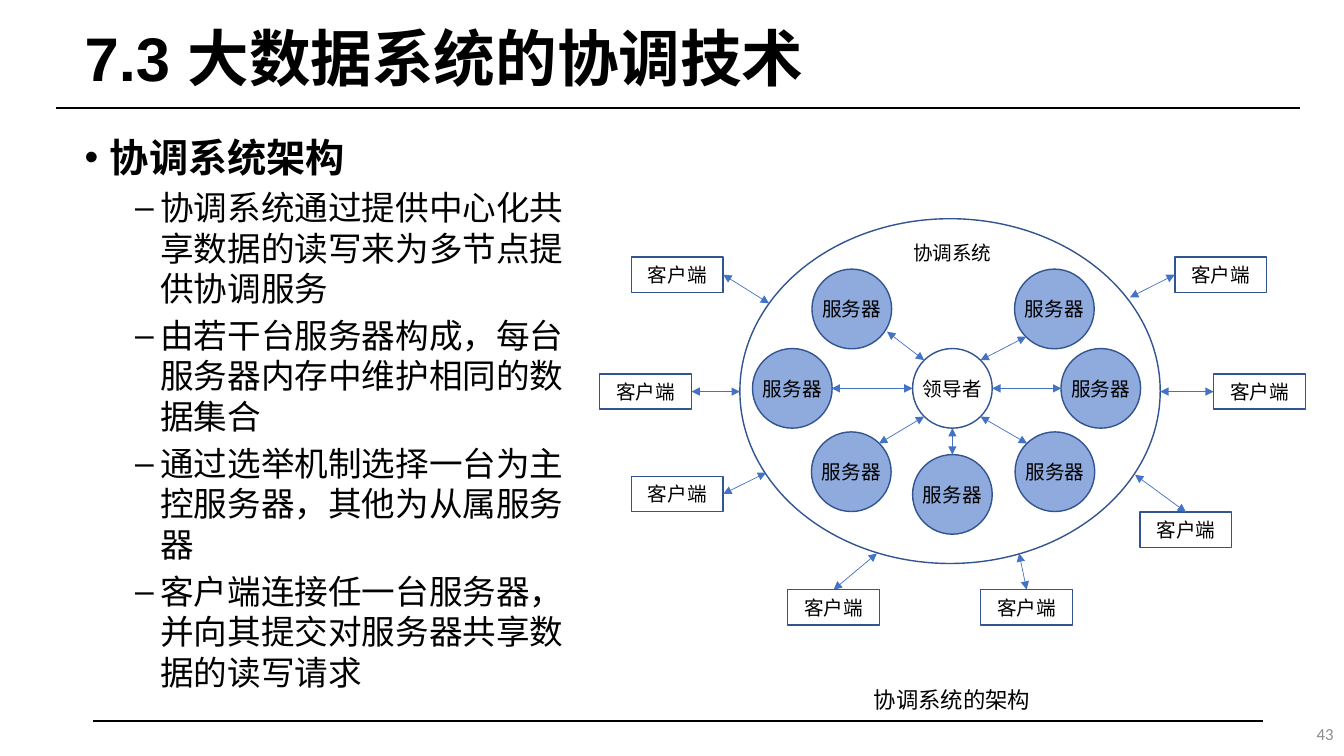
from dataclasses import dataclass
from math import sqrt

from lxml.etree import SubElement
from pptx import Presentation
from pptx.dml.color import RGBColor
from pptx.enum.shapes import MSO_CONNECTOR, MSO_SHAPE
from pptx.enum.text import MSO_ANCHOR, MSO_AUTO_SIZE, PP_ALIGN
from pptx.oxml.ns import qn
from pptx.util import Inches, Pt


@dataclass(frozen=True)
class Theme:
    ink: str = "000000"
    muted: str = "8C8C8C"
    outline: str = "325491"
    arrow: str = "4472C4"
    server: str = "8FAADC"
    leader: str = "FFFFFF"
    title_font: str = "Arial"
    body_font: str = "Calibri"
    chinese_font: str = "Noto Sans CJK SC"
    title_size: int = 44
    heading_size: int = 28
    point_size: int = 24
    caption_size: int = 16
    label_size: int = 14
    number_size: int = 12


# The grid has ten columns and ten rows to the inch.
COLUMNS, ROWS = 133.33, 75
HEADING = "协调系统架构"
POINTS = [
    "协调系统通过提供中心化共享数据的读写来为多节点提供协调服务",
    "由若干台服务器构成，每台服务器内存中维护相同的数据集合",
    "通过选举机制选择一台为主控服务器，其他为从属服务器",
    "客户端连接任一台服务器，并向其提交对服务器共享数据的读写请求",
]
TOP, LEFT, BOTTOM, RIGHT = range(4)
NODE = 7.9
LEADER = (94.48, 38.53)
# Server centre, direction in which its link leaves the leader, end of the link
SERVERS = [
    ((84.5, 30.65), (-1, -1), (88, 32.9)),
    ((78.6, 38.53), (-1, 0), (82.5, 38.53)),
    ((84.45, 46.8), (-1, 1), (87.2, 44)),
    ((94.48, 49.05), (0, 1), (94.48, 45.1)),
    ((104.65, 46.8), (1, 1), (101.9, 44)),
    ((109.2, 38.53), (1, 0), (105.3, 38.53)),
    ((104.6, 30.65), (1, -1), (101.8, 33.4)),
]
# Client corner, side its link leaves from, end of the link on the system
CLIENTS = [
    ((62.65, 25.5), RIGHT, (76.3, 30.1)),
    ((59.5, 37.1), RIGHT, (73.4, 38.85)),
    ((62.65, 47.25), RIGHT, (76, 46.9)),
    ((78.15, 58.5), TOP, (87, 54.9)),
    ((97.3, 58.5), TOP, (101.1, 54.9)),
    ((113.1, 50.8), TOP, (112.6, 47.1)),
    ((120.4, 37.1), LEFT, (115.1, 38.85)),
    ((116.55, 25.5), LEFT, (112.1, 29.5)),
]


def cells(*counts):
    return [Inches(count / 10) for count in counts]


class SlideBuilder:
    def __init__(self, slide, theme):
        self.slide = slide
        self.theme = theme

    def style(self, paragraph, size, font=None, color=None, bold=False):
        paragraph.font.size = Pt(size)
        paragraph.font.bold = bold
        paragraph.font.color.rgb = RGBColor.from_string(color or self.theme.ink)
        paragraph.font.name = font or self.theme.chinese_font
        properties = paragraph._p.pPr.find(qn("a:defRPr"))
        SubElement(properties, qn("a:ea"), typeface=self.theme.chinese_font)

    def place(self, holder, left, top, width, height):
        holder.left, holder.top, holder.width, holder.height = cells(left, top, width, height)
        holder.text_frame.auto_size = MSO_AUTO_SIZE.NONE
        return holder.text_frame

    def title(self, wording, box):
        frame = self.place(self.slide.shapes.title, *box)
        frame.vertical_anchor = MSO_ANCHOR.MIDDLE
        paragraph = frame.paragraphs[0]
        paragraph.text = wording
        paragraph.alignment = PP_ALIGN.LEFT
        paragraph.line_spacing = 0.9
        self.style(paragraph, self.theme.title_size, self.theme.title_font, bold=True)

    def bullets(self, heading, points, box):
        frame = self.place(self.slide.placeholders[1], *box)
        frame.vertical_anchor = MSO_ANCHOR.TOP
        for index, point in enumerate([heading, *points]):
            is_heading = index == 0
            paragraph = frame.paragraphs[0] if is_heading else frame.add_paragraph()
            paragraph.text = point
            paragraph.level = 0 if is_heading else 1
            paragraph.line_spacing = 1.0
            paragraph.space_before = Pt(10 if is_heading else 5)
            properties = paragraph._p.get_or_add_pPr()
            properties.set("marL", str(Inches(0.25 if is_heading else 0.75)))
            properties.set("indent", str(Inches(-0.25)))
            SubElement(properties, qn("a:buFont"), typeface="Arial")
            SubElement(properties, qn("a:buChar"), char="•" if is_heading else "–")
            size = self.theme.heading_size if is_heading else self.theme.point_size
            self.style(paragraph, size, self.theme.body_font, bold=is_heading)

    def text(self, wording, box, size, align=PP_ALIGN.LEFT, **look):
        frame = self.slide.shapes.add_textbox(*cells(*box)).text_frame
        frame.word_wrap = False
        frame.vertical_anchor = MSO_ANCHOR.MIDDLE
        paragraph = frame.paragraphs[0]
        paragraph.text = wording
        paragraph.alignment = align
        self.style(paragraph, size, **look)

    def shape(self, kind, box, fill=None, label=None):
        shape = self.slide.shapes.add_shape(kind, *cells(*box))
        shape.shadow.inherit = False
        shape.line.color.rgb = RGBColor.from_string(self.theme.outline)
        shape.line.width = Pt(1)
        if fill:
            shape.fill.solid()
            shape.fill.fore_color.rgb = RGBColor.from_string(fill)
        else:
            shape.fill.background()
        if label:
            frame = shape.text_frame
            frame.word_wrap = False
            frame.margin_left = frame.margin_right = frame.margin_top = frame.margin_bottom = 0
            frame.vertical_anchor = MSO_ANCHOR.MIDDLE
            paragraph = frame.paragraphs[0]
            paragraph.text = label
            paragraph.alignment = PP_ALIGN.CENTER
            self.style(paragraph, self.theme.label_size)
        return shape

    def node(self, center, fill, label):
        corner = [middle - NODE / 2 for middle in center]
        self.shape(MSO_SHAPE.OVAL, (*corner, NODE, NODE), fill, label)

    def line(self, start, end, color, width):
        line = self.slide.shapes.add_connector(MSO_CONNECTOR.STRAIGHT, *cells(*start, *end))
        line.line.color.rgb = RGBColor.from_string(color)
        line.line.width = Pt(width)
        SubElement(line._element.spPr, qn("a:effectLst"))
        return line

    def link(self, start, end):
        """Draw a thin line with an arrowhead at both ends."""
        link = self.line(start, end, self.theme.arrow, 0.5)
        outline = link.line._get_or_add_ln()
        for tip in ("a:headEnd", "a:tailEnd"):
            SubElement(outline, qn(tip), type="triangle")
        return link


def main():
    deck = Presentation()
    deck.slide_width, deck.slide_height = cells(COLUMNS, ROWS)
    theme = Theme()
    page = SlideBuilder(deck.slides.add_slide(deck.slide_layouts[1]), theme)

    page.line((5.6, 10.7), (129, 10.7), theme.ink, 1.75)
    page.line((9.2, 71.5), (125.3, 71.5), theme.ink, 1.25)
    page.title("7.3 大数据系统的协调技术", (7.4, 1.5, 119.5, 9.2))
    page.bullets(HEADING, POINTS, (7.4, 12.7, 49.7, 58.6))
    page.text("协调系统的架构", (85.7, 67.6, 17.7, 3.7), theme.caption_size)

    page.shape(MSO_SHAPE.OVAL, (73.4, 21.7, 41.7, 34.2))
    page.text("协调系统", (89.6, 23.4, 9.8, 3.4), theme.label_size)
    page.node(LEADER, theme.leader, "领导者")
    for center, direction, end in SERVERS:
        page.node(center, theme.server, "服务器")
        reach = NODE / 2 / sqrt(sum(step * step for step in direction))
        start = [middle + reach * step for middle, step in zip(LEADER, direction)]
        page.link(start, end)

    for corner, side, end in CLIENTS:
        client = page.shape(MSO_SHAPE.RECTANGLE, (*corner, 9.1, 3.5), label="客户端")
        page.link(corner, end).begin_connect(client, side)

    page.text("43", (103.3, 70.8, 30, 4), theme.number_size, PP_ALIGN.RIGHT,
              font=theme.body_font, color=theme.muted)
    deck.save("out.pptx")


if __name__ == "__main__":
    main()
